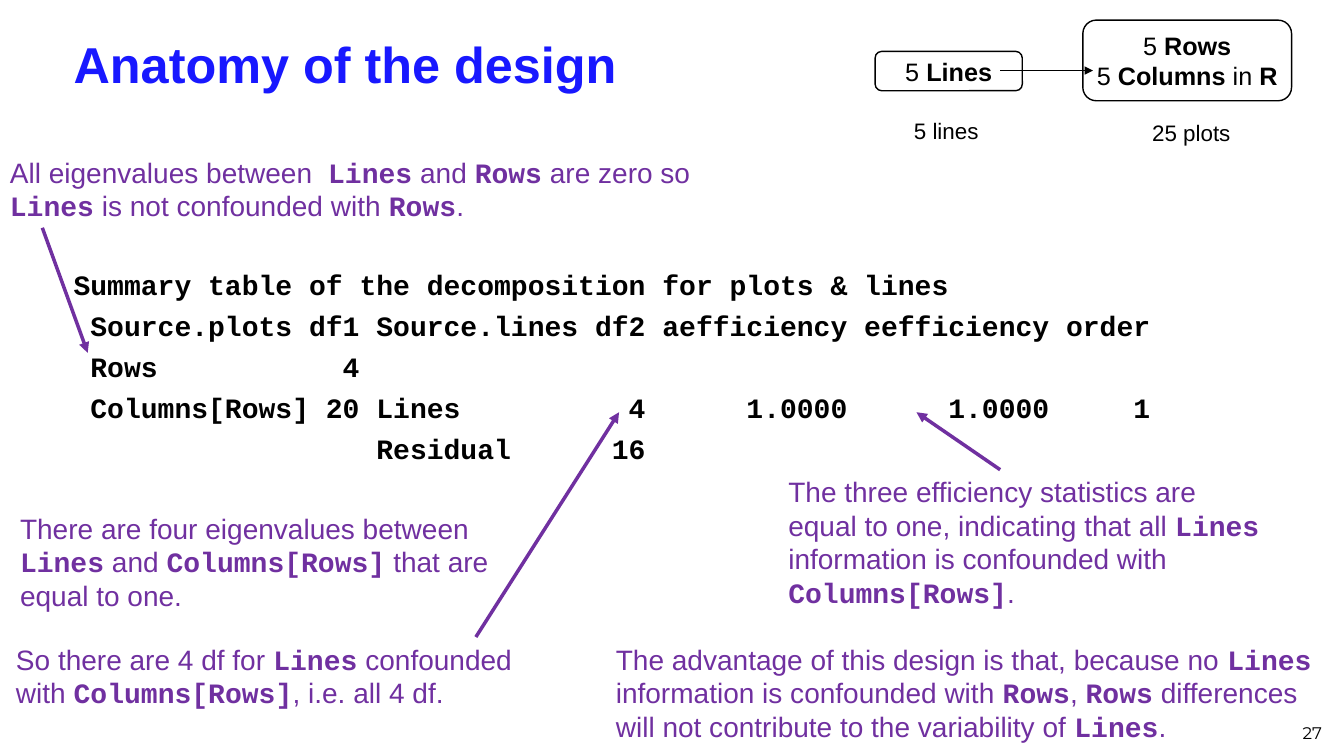
from lxml import etree
from pptx import Presentation
from pptx.dml.color import RGBColor
from pptx.enum.shapes import MSO_CONNECTOR, MSO_SHAPE
from pptx.enum.text import MSO_ANCHOR, MSO_AUTO_SIZE, PP_ALIGN
from pptx.oxml.ns import qn
from pptx.util import Pt

EMU_PER_PX = 9144
BLACK, BLUE, PURPLE = "000000", "1818FF", "7030A0"
SANS, MONO = "Arial", "Courier New"

SUMMARY_LINES = [
    "Summary table of the decomposition for plots & lines",
    " Source.plots df1 Source.lines df2 aefficiency eefficiency order",
    " Rows           4",
    " Columns[Rows] 20 Lines          4      1.0000      1.0000     1",
    "                  Residual      16",
]

NOTES = [
    ((772, 466, 492, 145),
     "The three efficiency statistics are equal to one, indicating that all |Lines| "
     "information is confounded with |Columns[Rows]|."),
    ((0, 149, 716, 77),
     "All eigenvalues between  |Lines| and |Rows| are zero so |Lines| "
     "is not confounded with |Rows|."),
    ((10, 502, 492, 111),
     "There are four eigenvalues between |Lines| and |Columns[Rows]| that are equal to one."),
    ((6, 632, 541, 77),
     "So there are 4 df for |Lines| confounded with |Columns[Rows]|, i.e. all 4 df."),
    ((601, 632, 720, 111),
     "The advantage of this design is that, because no |Lines| information is confounded "
     "with |Rows|, |Rows| differences will not contribute to the variability of |Lines|."),
]

NOTE_ARROWS = [
    ((42, 226), (87, 350)),
    ((472, 632), (614, 409)),
    ((992, 466), (909, 409)),
]


def px(length):
    return length * EMU_PER_PX


def color(hex_string):
    return RGBColor.from_string(hex_string)


def place(shape, box):
    shape.left, shape.top, shape.width, shape.height = map(px, box)


def format_font(font, name, size, hex_string, bold=False):
    font.name, font.size, font.bold = name, Pt(size), bold
    font.color.rgb = color(hex_string)


def write_marked(paragraph, text, size, hex_string, strong_font):
    for index, part in enumerate(text.split("|")):
        if part:
            strong = index % 2 == 1
            run = paragraph.add_run()
            run.text = part
            format_font(run.font, strong_font if strong else SANS, size, hex_string, strong)


def add_text(slide, box, text, size, hex_string=BLACK, strong_font=MONO, align=PP_ALIGN.LEFT):
    shape = slide.shapes.add_textbox(*map(px, box))
    shape.text_frame.word_wrap = True
    paragraph = shape.text_frame.paragraphs[0]
    paragraph.alignment = align
    write_marked(paragraph, text, size, hex_string, strong_font)
    return shape


def add_arrow(slide, start, end, hex_string, width):
    arrow = slide.shapes.add_connector(MSO_CONNECTOR.STRAIGHT, *map(px, start + end))
    arrow.line.color.rgb = color(hex_string)
    arrow.line.width = Pt(width)
    etree.SubElement(arrow.line._get_or_add_ln(), qn("a:tailEnd"), type="triangle")
    etree.SubElement(arrow._element.spPr, qn("a:effectLst"))


def add_title(slide, box):
    title = slide.shapes.title
    place(title, box)
    frame = title.text_frame
    frame.text = "Anatomy of the design"
    frame.vertical_anchor = MSO_ANCHOR.MIDDLE
    frame.auto_size = MSO_AUTO_SIZE.NONE
    paragraph = frame.paragraphs[0]
    paragraph.alignment = PP_ALIGN.LEFT
    format_font(paragraph.runs[0].font, SANS, 36, BLUE, True)


def add_summary(slide, box):
    body = slide.placeholders[1]
    place(body, box)
    frame = body.text_frame
    frame.text = "\n".join(SUMMARY_LINES)
    frame.auto_size = MSO_AUTO_SIZE.NONE
    frame.margin_top = px(11)
    for index, paragraph in enumerate(frame.paragraphs):
        properties = paragraph._p.get_or_add_pPr()
        properties.set("marL", "0")
        properties.set("indent", "0")
        etree.SubElement(properties, qn("a:buNone"))
        paragraph.space_before = Pt(5.4 if index else 0)
        format_font(paragraph.runs[0].font, MONO, 20, BLACK, True)


def add_factor_panel(slide, box, lines, caption, caption_box):
    left, top = box[:2]
    panel = slide.shapes.add_shape(MSO_SHAPE.ROUNDED_RECTANGLE, *map(px, box))
    panel.shadow.inherit = False
    panel.fill.background()
    panel.line.color.rgb = color(BLACK)
    panel.line.width = Pt(1)
    frame = panel.text_frame
    frame.word_wrap = True
    frame.vertical_anchor = MSO_ANCHOR.MIDDLE
    frame.margin_left = frame.margin_right = px(1)
    frame.margin_top = frame.margin_bottom = px(2)
    for index, line in enumerate(lines):
        paragraph = frame.add_paragraph() if index else frame.paragraphs[0]
        paragraph.alignment = PP_ALIGN.CENTER
        write_marked(paragraph, line, 18, BLACK, SANS)
    offset_left, offset_top, width, height = caption_box
    add_text(slide, (left + offset_left, top + offset_top, width, height),
             caption, 16, align=PP_ALIGN.CENTER)


def add_factor_diagram(slide, box):
    left, top = box
    add_factor_panel(slide, (left + 206, top, 207, 80),
                     ["5 |Rows", "5 |Columns| in |R"], "25 plots", (25, 93, 165, 37))
    add_factor_panel(slide, (left, top + 31, 146, 39),
                     ["5 |Lines"], "5 lines", (15, 60, 111, 37))
    add_arrow(slide, (left + 124, top + 50), (left + 216, top + 50), BLACK, 1)


def add_notes(slide):
    for box, text in NOTES:
        add_text(slide, box, text, 20, PURPLE)
    for start, end in NOTE_ARROWS:
        add_arrow(slide, start, end, PURPLE, 2.5)


def add_slide_number(slide, box):
    number = add_text(slide, box, "27", 12, align=PP_ALIGN.RIGHT)
    number.text_frame.vertical_anchor = MSO_ANCHOR.BOTTOM
    number.text_frame.paragraphs[0].runs[0].font.name = "Montserrat"


def main():
    presentation = Presentation()
    presentation.slide_width, presentation.slide_height = px(1333), px(750)
    slide = presentation.slides.add_slide(presentation.slide_layouts[1])
    add_title(slide, (63, 23, 1260, 79))
    add_summary(slide, (63, 254, 1260, 214))
    add_factor_diagram(slide, (868, 20))
    add_notes(slide)
    add_slide_number(slide, (1010, 692, 311, 50))
    presentation.save("out.pptx")


if __name__ == "__main__":
    main()
